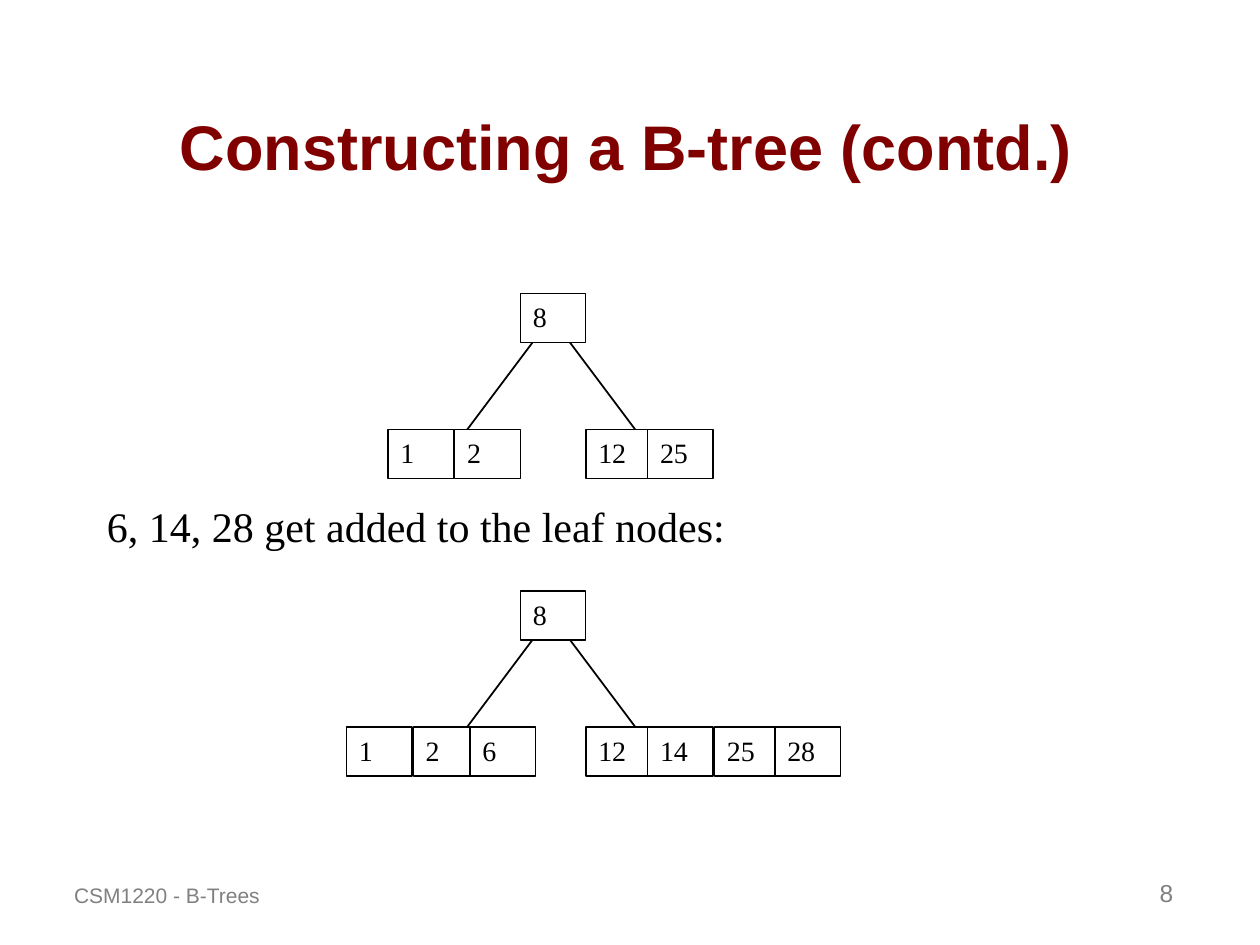
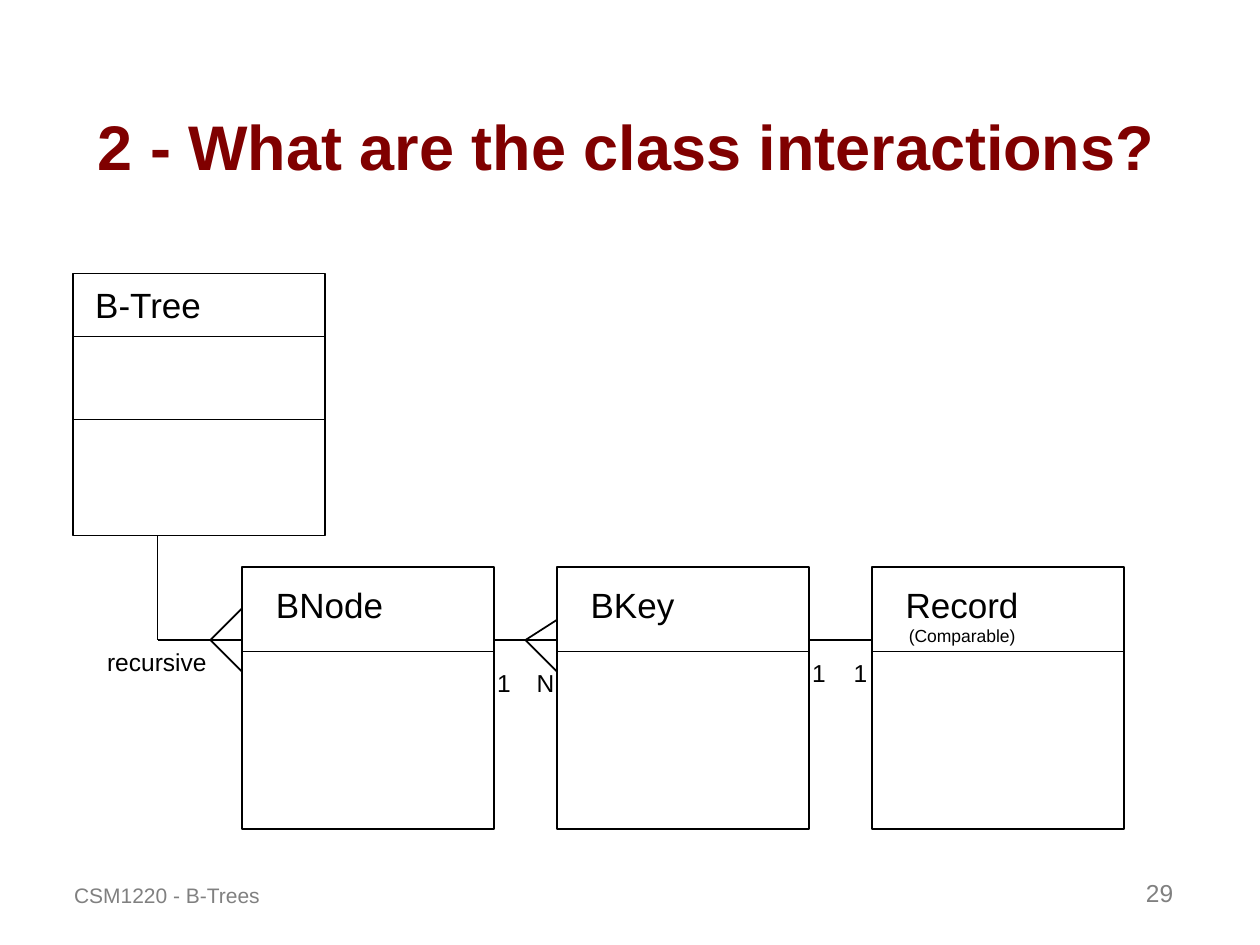
from pptx import Presentation
from pptx.dml.color import RGBColor
from pptx.enum.shapes import MSO_CONNECTOR, MSO_SHAPE
from pptx.enum.text import MSO_ANCHOR, MSO_AUTO_SIZE, PP_ALIGN
from pptx.oxml.ns import qn
from pptx.util import Inches, Pt
from lxml.etree import SubElement

BLACK = RGBColor(0x00, 0x00, 0x00)
WHITE = RGBColor(0xFF, 0xFF, 0xFF)
MAROON = RGBColor(0x80, 0x00, 0x00)
GREY = RGBColor(0x80, 0x80, 0x80)
SANS = "Arial"
SERIF = "Times New Roman"
COURSE = "CSM1220 - B-Trees"
NODE_WIDTH, NODE_HEIGHT = 0.52, 0.39
CLASS_WIDTH, CLASS_HEIGHT = 2, 2.08
LABEL_SLACK = 0.05


class Deck:
    def __init__(self):
        self.presentation = Presentation()
        self.presentation.slide_width = Inches(10)
        self.presentation.slide_height = Inches(7.5)
        self.slide = None

    def new_slide(self, title, number):
        layout = self.presentation.slide_layouts[6]
        self.slide = self.presentation.slides.add_slide(layout)
        self.text(title, 0.44, 0.25, 9.06, 1.25, 36, color=MAROON, bold=True,
                  align=PP_ALIGN.CENTER, anchor=MSO_ANCHOR.BOTTOM)
        self.text(COURSE, 0.49, 6.75, 3, 0.5, 12, color=GREY,
                  anchor=MSO_ANCHOR.BOTTOM, before=7.5)
        self.text(str(number), 7.33, 6.75, 2.08, 0.5, 14, color=GREY,
                  align=PP_ALIGN.RIGHT, anchor=MSO_ANCHOR.BOTTOM, before=8.8)

    def style(self, paragraph, size, font=SANS, color=BLACK, bold=False,
              align=PP_ALIGN.LEFT, before=0):
        paragraph.alignment = align
        paragraph.space_before = Pt(before)
        for run in paragraph.runs:
            run.font.size = Pt(size)
            run.font.name = font
            run.font.bold = bold
            run.font.color.rgb = color

    def text(self, words, left, top, width, height, size,
             anchor=MSO_ANCHOR.TOP, wrap=True, **look):
        box = self.slide.shapes.add_textbox(
            Inches(left), Inches(top), Inches(width), Inches(height))
        frame = box.text_frame
        frame.word_wrap = wrap
        frame.vertical_anchor = anchor
        frame.text = words
        self.style(frame.paragraphs[0], size, **look)
        return frame

    def label(self, words, left, top, width, height, size):
        frame = self.text(words, left - LABEL_SLACK, top, width + 2 * LABEL_SLACK,
                          height, size, wrap=False,
                          anchor=MSO_ANCHOR.MIDDLE, align=PP_ALIGN.CENTER)
        frame.auto_size = MSO_AUTO_SIZE.SHAPE_TO_FIT_TEXT
        return frame

    def line(self, x1, y1, x2, y2):
        connector = self.slide.shapes.add_connector(
            MSO_CONNECTOR.STRAIGHT, Inches(x1), Inches(y1), Inches(x2), Inches(y2))
        connector.line.color.rgb = BLACK
        connector.line.width = Pt(1)
        SubElement(connector._element.spPr, qn("a:effectLst"))

    def rectangle(self, left, top, width, height, weight):
        outline = self.slide.shapes.add_shape(
            MSO_SHAPE.RECTANGLE, Inches(left), Inches(top), Inches(width), Inches(height))
        outline.shadow.inherit = False
        outline.line.color.rgb = BLACK
        outline.line.width = Pt(weight)
        outline.fill.background()
        return outline

    def key(self, value, left, top):
        cell = self.rectangle(left, top, NODE_WIDTH, NODE_HEIGHT, 0.75)
        cell.fill.solid()
        cell.fill.fore_color.rgb = WHITE
        frame = cell.text_frame
        frame.vertical_anchor = MSO_ANCHOR.TOP
        frame.text = str(value)
        self.style(frame.paragraphs[0], 16, font=SERIF)

    def tree(self, top, root, leaf_keys):
        self.line(4.33, top + 0.25, 3.58, top + 1.25)
        self.line(4.42, top + 0.25, 5.17, top + 1.25)
        self.key(root, 4.13, top)
        for value, left in leaf_keys:
            self.key(value, left, top + 1.08)

    def class_box(self, name, left, top, dividers, name_at, name_width, note=None):
        self.rectangle(left, top, CLASS_WIDTH, CLASS_HEIGHT, 1)
        for offset in dividers:
            self.line(left, top + offset, left + CLASS_WIDTH, top + offset)
        indent, drop = name_at
        frame = self.label(name, left + indent, top + drop, name_width,
                           0.6 if note else 0.44, 20)
        if note:
            paragraph = frame.add_paragraph()
            paragraph.text = note
            self.style(paragraph, 10, align=PP_ALIGN.CENTER)

    def crow_foot(self, tip, edge, y, rise):
        self.line(tip, y, edge, y - rise)
        self.line(tip, y, edge, y + 0.25)


def build_tree_slide(deck):
    deck.new_slide("Constructing a B-tree (contd.)", 8)
    deck.tree(2.33, 8, [(1, 3.08), (2, 3.61), (12, 4.65), (25, 5.14)])
    deck.text("6, 14, 28 get added to the leaf nodes:", 0.75, 3.92, 8.58, 0.5, 24,
              font=SERIF, before=15)
    deck.tree(4.69, 8, [(1, 2.75), (2, 3.28), (6, 3.73),
                        (12, 4.65), (14, 5.14), (25, 5.67), (28, 6.15)])


def build_class_slide(deck):
    deck.new_slide("2 - What are the class interactions?", 29)
    deck.class_box("B-Tree", 0.58, 2.17, (0.5, 1.16), (0.07, 0.03), 1.05)
    classes = [("BNode", 1.05, None), ("BKey", 0.86, None),
               ("Record", 1.09, "(Comparable)")]
    for column, (name, name_width, note) in enumerate(classes):
        deck.class_box(name, 1.92 + 2.5 * column, 4.5, (0.67,), (0.17, 0.08),
                       name_width, note)

    link_y = 5.08
    deck.line(1.25, 4.25, 1.25, link_y)
    for start, end in ((1.25, 1.92), (3.92, 4.42), (6.42, 6.92)):
        deck.line(start, link_y, end, link_y)
    deck.crow_foot(1.67, 1.92, link_y, 0.25)
    deck.crow_foot(4.17, 4.42, link_y, 0.16)

    deck.label("recursive", 0.75, 5.08, 0.99, 0.34, 14)
    for count, center, top in (("1", 4, 5.25), ("N", 4.33, 5.25),
                               ("1", 6.5, 5.17), ("1", 6.83, 5.17)):
        deck.label(count, center - 0.15, top, 0.3, 0.34, 14)


def main():
    deck = Deck()
    build_tree_slide(deck)
    build_class_slide(deck)
    deck.presentation.save("out.pptx")


if __name__ == "__main__":
    main()
